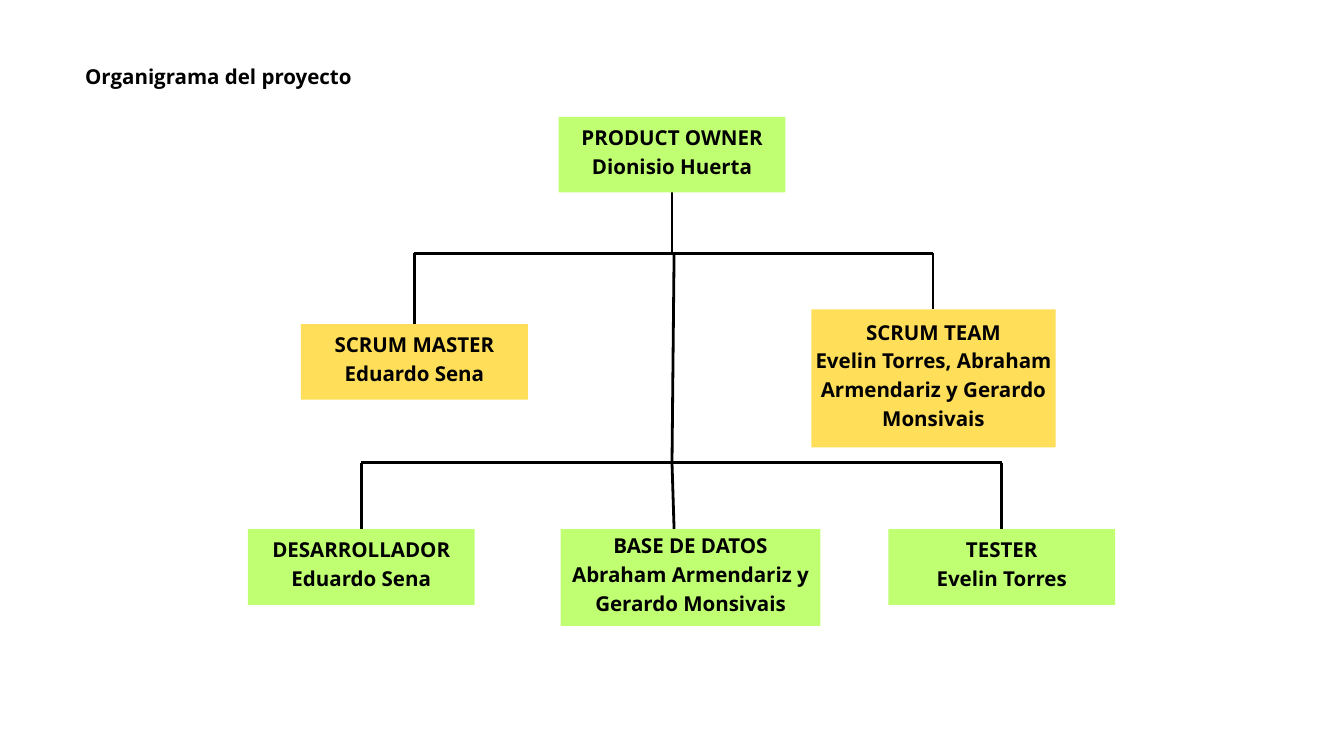
import pptx
import pptx.dml.color
import pptx.enum.shapes
import pptx.enum.text
import pptx.oxml.ns
import pptx.util
from lxml import etree

PX = 9525  # EMU, 96 px to the inch
COLORS = {"green": "C1FF72", "yellow": "FFDE59", "black": "000000"}
FONT = {"name": "Open Sans", "size": pptx.util.Pt(22), "bold": True}
MARGINS = {"margin_left": 6 * PX, "margin_right": 6 * PX,
           "margin_top": 0, "margin_bottom": 15 * PX}
NO_MARGINS = dict.fromkeys(MARGINS, 0)

deck = pptx.Presentation()
deck.slide_width = 1920 * PX
deck.slide_height = 1080 * PX
slide = deck.slides.add_slide(deck.slide_layouts[6])


def write(shape, lines, frame_format):
    """Fill the shape with centred bold lines, one paragraph each."""
    frame = shape.text_frame
    for key, value in frame_format.items():
        setattr(frame, key, value)
    frame.word_wrap = True
    frame.text = "\n".join(lines)
    for paragraph in frame.paragraphs:
        paragraph.alignment = pptx.enum.text.PP_ALIGN.CENTER
        paragraph.line_spacing = pptx.util.Pt(30.8)
        for key, value in FONT.items():
            setattr(paragraph.font, key, value)
        paragraph.font.color.rgb = pptx.dml.color.RGBColor.from_string(COLORS["black"])


def connect(x1, y1, x2, y2):
    line = slide.shapes.add_connector(
        pptx.enum.shapes.MSO_CONNECTOR.STRAIGHT, x1 * PX, y1 * PX, x2 * PX, y2 * PX)
    line.line.width = pptx.util.Pt(3)
    line.line.color.rgb = pptx.dml.color.RGBColor.from_string(COLORS["black"])
    etree.SubElement(line._element.spPr, pptx.oxml.ns.qn("a:effectLst"))


title = slide.shapes.add_textbox(108 * PX, 86 * PX, 408 * PX, 80 * PX)
write(title, ["Organigrama del proyecto"], NO_MARGINS)

# Connectors: a trunk down the middle and a horizontal bus above each level
trunk, trunk_offset = 960, 963
owner_bottom, upper_bus, lower_bus = 275, 362, 661
master_top, team_top, members_top = 463, 442, 756
connect(trunk, owner_bottom, trunk, upper_bus)
connect(trunk_offset, upper_bus, trunk, lower_bus)
connect(trunk, lower_bus, trunk_offset, members_top)
for bus, left_x, left_top, right_x, right_top in [
    (upper_bus, 592, master_top, 1333, team_top),
    (lower_bus, 516, members_top, 1431, members_top),
]:
    connect(left_x, bus, right_x, bus)
    connect(left_x, bus, left_x, left_top)
    connect(right_x, bus, right_x, right_top)

# Roles: left, top, width, height, colour, role, people
roles = [
    (798, 167, 324, 108, "green", "PRODUCT OWNER", "Dionisio Huerta"),
    (430, master_top, 324, 108, "yellow", "SCRUM MASTER", "Eduardo Sena"),
    (1159, team_top, 349, 197, "yellow", "SCRUM TEAM",
     "Evelin Torres, Abraham Armendariz y Gerardo Monsivais"),
    (354, members_top, 324, 108, "green", "DESARROLLADOR", "Eduardo Sena"),
    (801, members_top, 371, 138, "green", "BASE DE DATOS",
     "Abraham Armendariz y Gerardo Monsivais"),
    (1269, members_top, 324, 108, "green", "TESTER", "Evelin Torres"),
]
for left, top, width, height, color, role, people in roles:
    box = slide.shapes.add_shape(
        pptx.enum.shapes.MSO_SHAPE.RECTANGLE, left * PX, top * PX, width * PX, height * PX)
    box.shadow.inherit = False
    box.fill.solid()
    box.fill.fore_color.rgb = pptx.dml.color.RGBColor.from_string(COLORS[color])
    box.line.fill.background()
    write(box, [role, people], MARGINS)
    box.text_frame.vertical_anchor = pptx.enum.text.MSO_ANCHOR.MIDDLE

deck.save("out.pptx")
